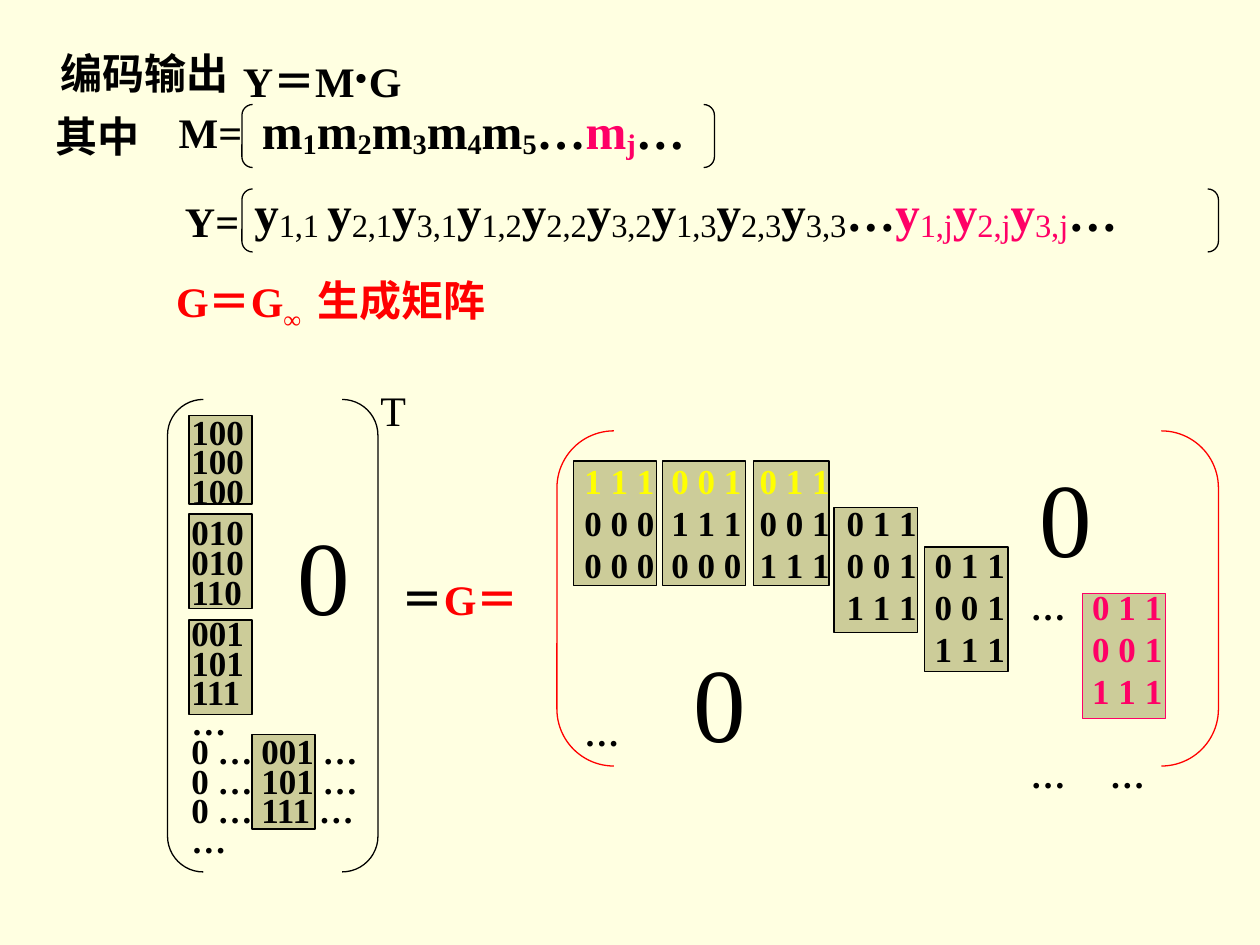
import pptx
import pptx.util
import pptx.dml.color
import pptx.enum.shapes
import pptx.enum.text
import lxml.etree

COLUMNS, ROWS = 10, 7.5
BLACK, RED, PINK, YELLOW = "000000", "FF0000", "FF0066", "FFFF00"
PAPER, KHAKI = "FFFFE1", "CCCC99"
FACE = "Times New Roman"
DRAWING = "http://schemas.openxmlformats.org/drawingml/2006/main"

LABEL = {"size": 24, "bold": True, "color": BLACK}
RED_LABEL = {**LABEL, "color": RED}
TERM = {**LABEL, "size": 28}
CELL = {**LABEL, "size": 20}
ZERO = {"size": 60, "bold": False, "color": BLACK}


def series(letter, subscripts, color, low):
    return [part for subscript in subscripts for part in
            ((letter, {**TERM, "color": color}), (subscript, {**low, "color": color}))]


M_LOW = {**TERM, "baseline": -10}
Y_LOW = {"size": 32, "bold": False, "baseline": -10}
DOTS = [("…", TERM)]
MESSAGE = series("m", "12345", BLACK, M_LOW) + DOTS + series("m", "j", PINK, M_LOW) + DOTS
Y_SUBSCRIPTS = ["1,1 ", "2,1", "3,1", "1,2", "2,2", "3,2", "1,3", "2,3", "3,3"]
OUTPUT = (series("y", Y_SUBSCRIPTS, BLACK, Y_LOW) + DOTS
          + series("y", ["1,j", "2,j", "3,j"], PINK, Y_LOW) + DOTS)

LINES = [
    (1.3, 2.14, 1.45, 0.56, 1, [("G＝G", RED_LABEL), ("∞", {**RED_LABEL, "baseline": -25})]),
    (1.83, 0.28, 2.43, 0.64, 1, [("Y＝M", LABEL), ("∙", {**LABEL, "size": 32}), ("G", LABEL)]),
    (1.92, 1.4, 7.75, 0.59, 0.9, OUTPUT),
    (1.98, 0.75, 3.65, 0.58, 1, MESSAGE),
    (0.38, 0.33, 1.6, 0.5, 1, [("编码输出", LABEL)]),
    (0.34, 0.83, 0.95, 0.5, 1, [("其中", LABEL)]),
    (1.32, 0.8, 0.8, 0.5, 1, [("M=", LABEL)]),
    (1.37, 1.5, 0.73, 0.5, 1, [("Y=", LABEL)]),
    (2.92, 3, 0.5, 0.5, 1, [("T", {**LABEL, "bold": False})]),
    (3.09, 4.5, 1.38, 0.5, 1, [("＝", LABEL), ("G＝", RED_LABEL)]),
    (2.42, 2.13, 1.83, 0.5, 1, [("生成矩阵", RED_LABEL)]),
]
ZEROS = [(2.26, 4), (5.41, 5.01), (8.15, 3.54)]
BRACKETS = [
    (1.92, 0.83, 3.75, 0.5, BLACK),
    (1.92, 1.5, 7.75, 0.5, BLACK),
    (1.33, 3.17, 1.67, 3.75, BLACK),
    (4.42, 3.42, 5.25, 2.66, RED),
]
BLOCKS = [
    (2, 5.83, 0.5, 0.75, BLACK),
    (1.5, 4.92, 0.5, 0.75, BLACK),
    (1.5, 4.08, 0.5, 0.75, BLACK),
    (1.5, 3.3, 0.5, 0.7, BLACK),
    (8.59, 4.71, 0.66, 0.99, PINK),
    (7.34, 4.34, 0.66, 0.99, BLACK),
    (6.62, 4.03, 0.66, 0.99, BLACK),
    (5.98, 3.66, 0.6, 0.99, BLACK),
    (5.26, 3.66, 0.66, 0.99, BLACK),
    (4.55, 3.66, 0.66, 0.99, BLACK),
]

TRANSPOSED = ["100", "100", "100", "010", "010", "110", "001", "101", "111", "…",
              "0 … 001 …", "0 … 101 …", "0 … 111 …", "…"]
GROUP_STARTS = {3, 6}

STOPS = [0, 0.69, 1.39, 2.08, 2.78, 3.54, 4.03, 4.17]
GENERATOR = [
    [(0, "1 1 1", YELLOW), (1, "0 0 1", YELLOW), (2, "0 1 1", YELLOW)],
    [(0, "0 0 0", BLACK), (1, "1 1 1", BLACK), (2, "0 0 1", BLACK), (3, "0 1 1", BLACK)],
    [(0, "0 0 0", BLACK), (1, "0 0 0", BLACK), (2, "1 1 1", BLACK), (3, "0 0 1", BLACK),
     (4, "0 1 1", BLACK)],
    [(3, "1 1 1", BLACK), (4, "0 0 1", BLACK), (5, "…", BLACK), (6, "0 1 1", PINK)],
    [(4, "1 1 1", BLACK), (6, "0 0 1", PINK)],
    [(6, "1 1 1", PINK)],
    [(0, "…", BLACK)],
    [(5, "…", BLACK), (7, "…", BLACK)],
]

deck = pptx.Presentation()
deck.slide_width = pptx.util.Inches(COLUMNS)
deck.slide_height = pptx.util.Inches(ROWS)
page = deck.slides.add_slide(deck.slide_layouts[6])


def rgb(value):
    return pptx.dml.color.RGBColor.from_string(value)


def inches(*lengths):
    return [pptx.util.Inches(length) for length in lengths]


def add_outline(kind, left, top, width, height, line, fill=None):
    shape = page.shapes.add_shape(kind, *inches(left, top, width, height))
    shape.shadow.inherit = False
    if fill:
        shape.fill.solid()
        shape.fill.fore_color.rgb = rgb(fill)
    else:
        shape.fill.background()
    shape.line.color.rgb = rgb(line)
    shape.line.width = pptx.util.Pt(0.75)
    return shape


def add_span(para, text, style):
    span = para.add_run()
    span.text = text
    for name, value in {"name": FACE, "size": pptx.util.Pt(style["size"]), "bold": style["bold"]}.items():
        setattr(span.font, name, value)
    span.font.color.rgb = rgb(style["color"])
    if "baseline" in style:
        span.font._element.set("baseline", str(style["baseline"] * 1000))


def add_text(left, top, width, height, paragraphs):
    box = page.shapes.add_textbox(*inches(left, top, width, height))
    frame = box.text_frame
    frame.word_wrap = True
    frame.auto_size = pptx.enum.text.MSO_AUTO_SIZE.SHAPE_TO_FIT_TEXT
    for index, (spacing, stops, parts) in enumerate(paragraphs):
        para = frame.add_paragraph() if index else frame.paragraphs[0]
        para.line_spacing = spacing
        if stops:
            tabs = lxml.etree.SubElement(para._p.get_or_add_pPr(), f"{{{DRAWING}}}tabLst")
            for stop in stops:
                lxml.etree.SubElement(tabs, f"{{{DRAWING}}}tab",
                                      pos=str(pptx.util.Inches(stop)), algn="l")
        for text, style in parts:
            add_span(para, text, style)


def tabbed_row(cells):
    stops = [STOPS[column] for column, text, color in cells if column]
    parts = [("\t" * bool(column) + text, {**CELL, "color": color}) for column, text, color in cells]
    return 1, stops, parts


for *place, line in BLOCKS:
    add_outline(pptx.enum.shapes.MSO_SHAPE.RECTANGLE, *place, line, KHAKI)

for *place, line in BRACKETS:
    bracket = add_outline(pptx.enum.shapes.MSO_SHAPE.DOUBLE_BRACKET, *place, line)
    bracket.adjustments[0] = 0.17

for *place, spacing, parts in LINES:
    add_text(*place, [(spacing, [], parts)])

for left, top in ZEROS:
    add_text(left, top, 0.7, 1.1, [(1, [], [("0", ZERO)])])

add_text(1.42, 3.3, 1.58, 3.57,
         [(1 if index in GROUP_STARTS else 0.7, [], [(text, CELL)])
          for index, text in enumerate(TRANSPOSED)])
add_text(4.54, 3.6, 4.95, 2.77, [tabbed_row(cells) for cells in GENERATOR])

page.background.fill.solid()
page.background.fill.fore_color.rgb = rgb(PAPER)
deck.save("out.pptx")
